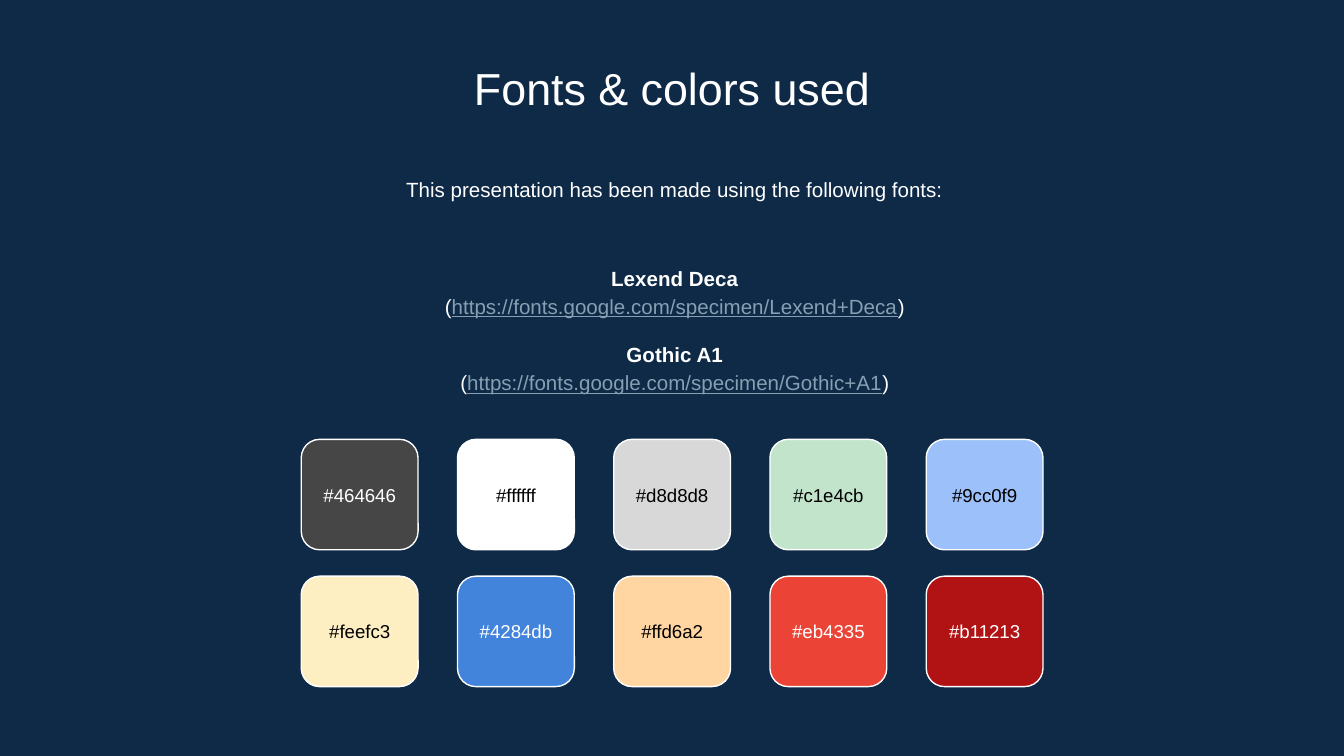
from pptx import Presentation
from pptx.dml.color import RGBColor
from pptx.enum import shapes, text
from pptx.util import Pt

WHITE = RGBColor(0xFF, 0xFF, 0xFF)
BLACK = RGBColor(0, 0, 0)
NAVY = RGBColor(0x0E, 0x2A, 0x47)
LINK = RGBColor(0x86, 0x9F, 0xB2)

FONTS = [
    ("Lexend Deca", "https://fonts.google.com/specimen/Lexend+Deca"),
    ("Gothic A1", "https://fonts.google.com/specimen/Gothic+A1"),
]
SWATCHES = [
    [("464646", WHITE), ("ffffff", BLACK), ("d8d8d8", BLACK),
     ("c1e4cb", BLACK), ("9cc0f9", BLACK)],
    [("feefc3", BLACK), ("4284db", WHITE), ("ffd6a2", BLACK),
     ("eb4335", WHITE), ("b11213", WHITE)],
]


def write(shape, paras, size=11, color=WHITE, spacing=1.0, gaps=(),
          anchor=text.MSO_ANCHOR.TOP):
    """Each paragraph is a list of (words, style); gaps maps index to space."""
    frame = shape.text_frame
    frame.word_wrap = True
    frame.auto_size = text.MSO_AUTO_SIZE.NONE
    frame.vertical_anchor = anchor
    frame.margin_left = frame.margin_right = Pt(7.2)
    frame.margin_top = frame.margin_bottom = Pt(7.2)
    for i, runs in enumerate(paras):
        para = frame.add_paragraph() if i else frame.paragraphs[0]
        para.alignment = text.PP_ALIGN.CENTER
        para.line_spacing = spacing
        para.space_before = Pt(10.6 if i in gaps else 0)
        for words, style in runs:
            run = para.add_run()
            run.text = words
            font = run.font
            font.name = "Arial"
            font.size = Pt(size)
            font.bold = style == "bold"
            font.underline = style == "link"
            font.color.rgb = LINK if style == "link" else color


def add_title(slide, x, y, w, h):
    title = slide.shapes.title
    title.left, title.top, title.width, title.height = map(Pt, (x, y, w, h))
    write(title, [[("Fonts & colors used", "")]], size=24)


def add_intro(slide, x, y, w, h):
    box = slide.shapes.add_textbox(Pt(x), Pt(y), Pt(w), Pt(h))
    words = "This presentation has been made using the following fonts:"
    write(box, [[(words, "")]], spacing=1.15)


def add_fonts(slide, x, y, w, h):
    box = slide.shapes.add_textbox(Pt(x), Pt(y), Pt(w), Pt(h))
    paras = []
    for name, link in FONTS:
        paras.append([(name, "bold")])
        paras.append([("(", ""), (link, "link"), (")", "")])
    write(box, paras, spacing=1.15, gaps=(2,),
          anchor=text.MSO_ANCHOR.MIDDLE)


def add_swatch(slide, x, y, w, h, code, ink):
    # Colour tile
    tile = slide.shapes.add_shape(
        shapes.MSO_SHAPE.ROUNDED_RECTANGLE, Pt(x), Pt(y), Pt(w), Pt(h))
    tile.shadow.inherit = False
    tile.fill.solid()
    tile.fill.fore_color.rgb = RGBColor.from_string(code.upper())
    tile.line.color.rgb = WHITE
    tile.line.width = Pt(0.75)
    # Code centred on the tile
    tall = 34.6
    label = slide.shapes.add_textbox(
        Pt(x), Pt(y + (h - tall) / 2), Pt(w), Pt(tall))
    write(label, [[("#" + code, "")]], size=10, color=ink,
          anchor=text.MSO_ANCHOR.MIDDLE)


def add_palette(slide, x, y, w, h):
    wide, tall = 62.6, 59.2
    across = (w - wide) / (len(SWATCHES[0]) - 1)
    down = (h - tall) / (len(SWATCHES) - 1)
    for r, row in enumerate(SWATCHES):
        for c, (code, ink) in enumerate(row):
            add_swatch(slide, x + c * across, y + r * down,
                       wide, tall, code, ink)


def main():
    deck = Presentation()
    deck.slide_width, deck.slide_height = Pt(720), Pt(405)
    slide = deck.slides.add_slide(deck.slide_layouts[5])
    slide.background.fill.solid()
    slide.background.fill.fore_color.rgb = NAVY

    add_title(slide, 82.5, 25.2, 555, 38.2)
    add_intro(slide, 84, 85.7, 555, 34.6)
    add_fonts(slide, 84, 126.7, 555, 98.6)
    add_palette(slide, 161.4, 235.4, 397.4, 132.5)
    deck.save("out.pptx")


if __name__ == "__main__":
    main()
